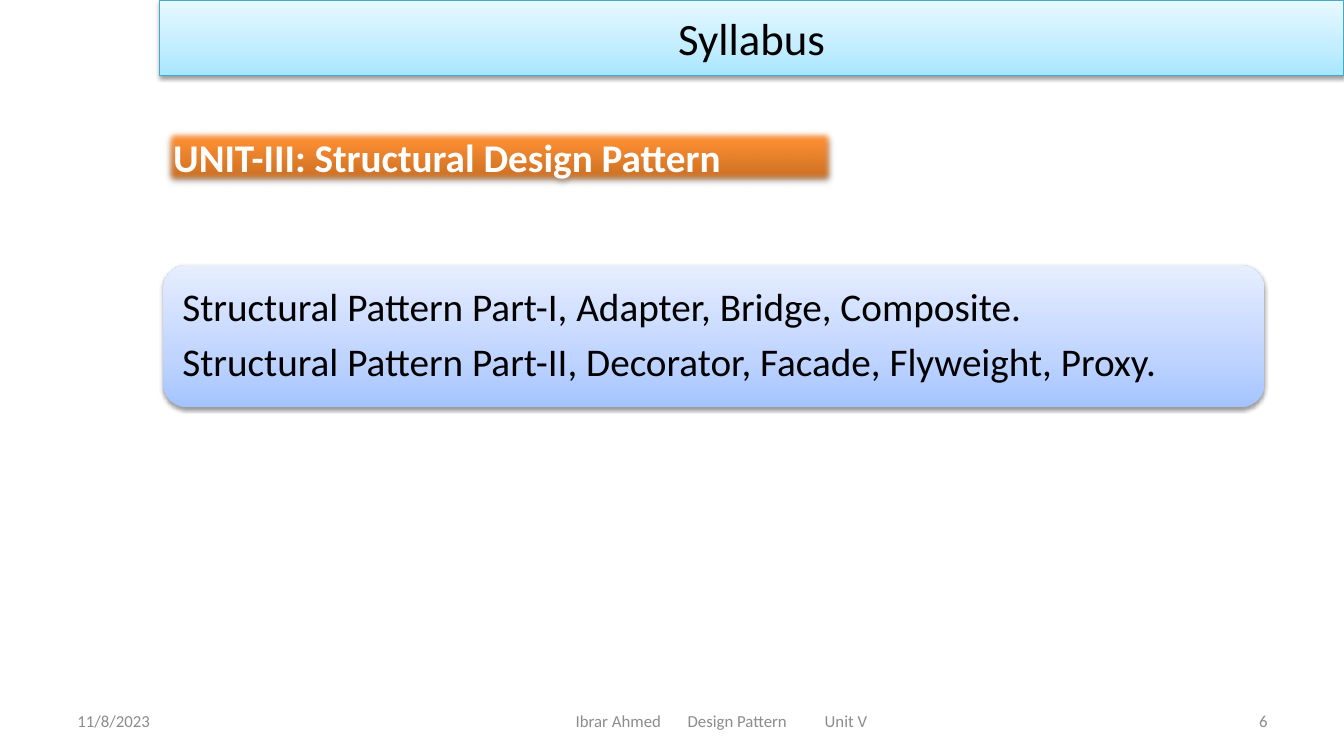
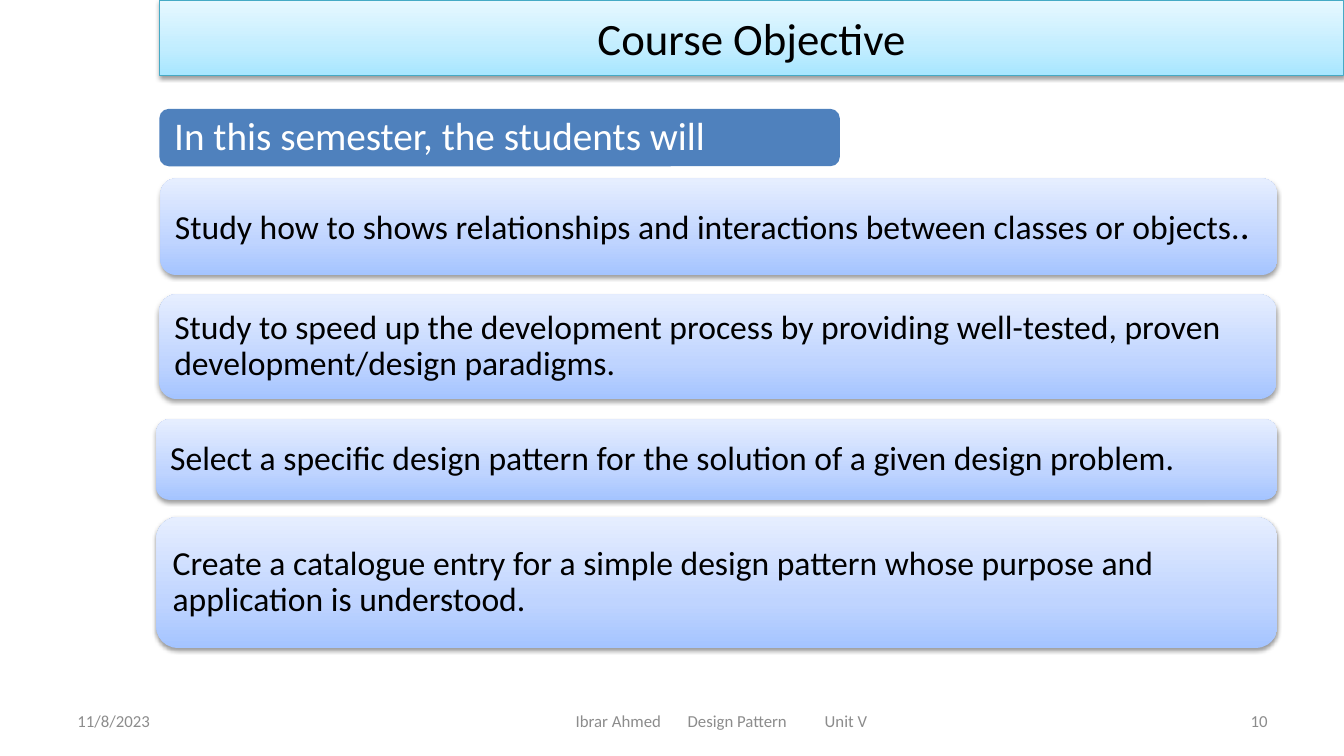
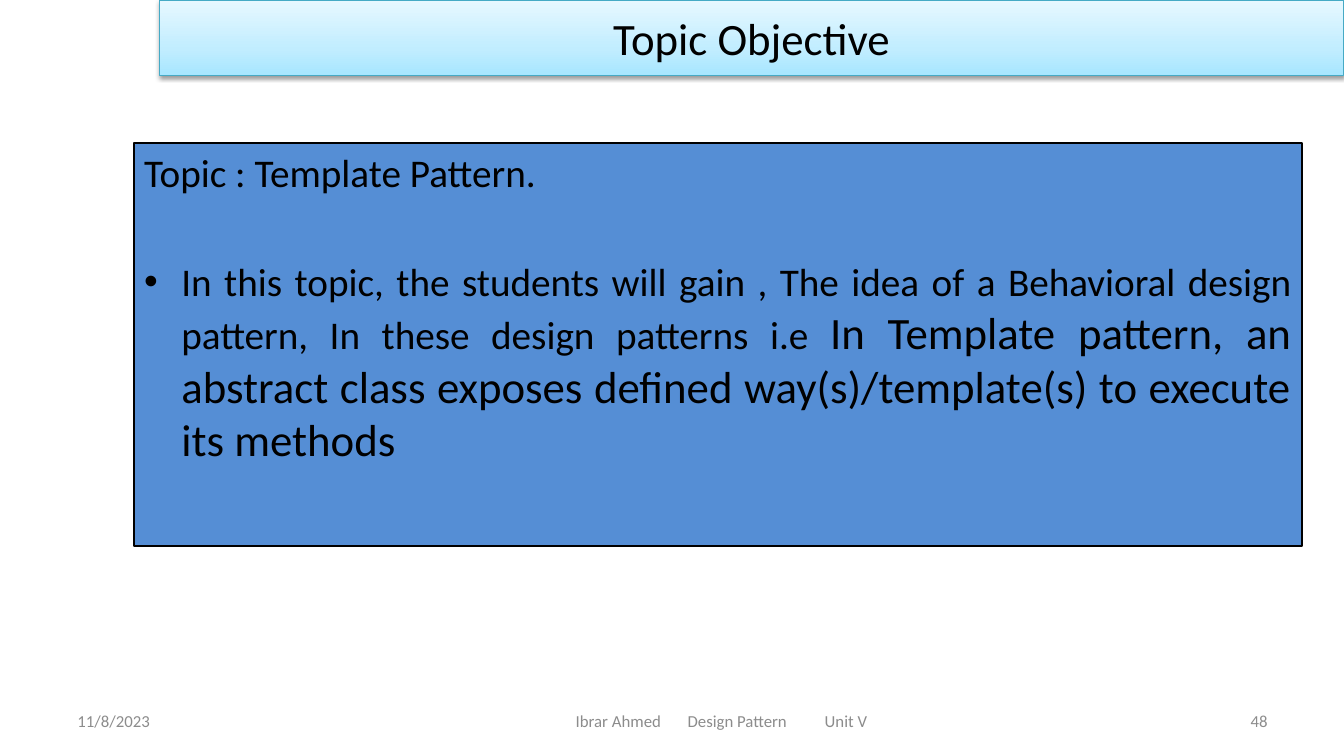
from copy import deepcopy

from lxml import etree
from pptx import Presentation
from pptx import util as u
from pptx.dml.color import RGBColor
from pptx.enum import shapes, text
from pptx.oxml.ns import qn

FONT = "Calibri"
BLACK, WHITE, GREY = "000000", "FFFFFF", "8C8C8C"
LABEL_BLUE, TOPIC_BLUE, TITLE_LINE = "4F81BD", "558ED5", "46AAC5"
TITLE_GRADIENT = ((0, "A7E6FF"), (0.35, "C1EDFF"), (1, "E7F8FF"))
CARD_GRADIENT = ((0, "A4C4FF"), (0.35, "BFD4FF"), (1, "E6EEFF"))
UNIT_GRADIENT = ((0, "C2691F"), (0.8, "FF9034"), (1, "FF9136"))
RECTANGLE = shapes.MSO_SHAPE.RECTANGLE
ROUNDED = shapes.MSO_SHAPE.ROUNDED_RECTANGLE
LEFT, CENTER = text.PP_ALIGN.LEFT, text.PP_ALIGN.CENTER
RIGHT, JUSTIFY = text.PP_ALIGN.RIGHT, text.PP_ALIGN.JUSTIFY
TOP, MIDDLE = text.MSO_ANCHOR.TOP, text.MSO_ANCHOR.MIDDLE


def color(value):
    return RGBColor.from_string(value)


def inches(box):
    return [u.Inches(length) for length in box]


def set_gradient(shape, stops):
    shape.fill.gradient()
    shape.fill.gradient_angle = 90
    stop_list = shape._element.spPr.find(".//" + qn("a:gsLst"))
    stop_list.append(deepcopy(stop_list[0]))
    for stop, (position, value) in zip(shape.fill.gradient_stops, stops):
        stop.position = position
        stop.color.rgb = color(value)


def add_effects(shape, opacity=38, distance=1.6, soft_edge=0):
    effects = shape._element.spPr.find(qn("a:effectLst"))
    shadow = etree.SubElement(
        effects, qn("a:outerShdw"), blurRad=str(u.Pt(3.1)),
        dist=str(u.Pt(distance)), dir="5400000", rotWithShape="0")
    shadow_color = etree.SubElement(shadow, qn("a:srgbClr"), val=BLACK)
    etree.SubElement(shadow_color, qn("a:alpha"), val=str(opacity * 1000))
    if soft_edge:
        etree.SubElement(effects, qn("a:softEdge"), rad=str(u.Pt(soft_edge)))


def add_panel(slide, box, kind=RECTANGLE, fill=None, gradient=None, line=None, line_width=0.75):
    shape = slide.shapes.add_shape(kind, *inches(box))
    shape.shadow.inherit = False
    if gradient:
        set_gradient(shape, gradient)
    else:
        shape.fill.solid()
        shape.fill.fore_color.rgb = color(fill)
    if line:
        shape.line.color.rgb = color(line)
        shape.line.width = u.Pt(line_width)
    else:
        shape.line.fill.background()
    return shape


def add_bullet(paragraph, indent):
    properties = paragraph._p.get_or_add_pPr()
    properties.set("marL", str(u.Inches(indent)))
    properties.set("indent", str(-u.Inches(indent)))
    etree.SubElement(properties, qn("a:buFont"), typeface="Arial")
    etree.SubElement(properties, qn("a:buChar"), char="•")


def add_tabs(paragraph, stops):
    tab_list = etree.SubElement(paragraph._p.get_or_add_pPr(), qn("a:tabLst"))
    for stop in stops:
        etree.SubElement(tab_list, qn("a:tab"), pos=str(u.Inches(stop)), algn="l")


def write(shape, paragraphs, size=28, ink=BLACK, bold=False, align=LEFT, anchor=MIDDLE,
          inset=None, spacing=None, gap=0):
    frame = shape.text_frame
    frame.word_wrap = True
    frame.vertical_anchor = anchor
    if inset is not None:
        frame.margin_left = frame.margin_right = u.Inches(inset)
        frame.margin_top = frame.margin_bottom = u.Inches(inset)
    for index, runs in enumerate(paragraphs):
        paragraph = frame.paragraphs[0] if index == 0 else frame.add_paragraph()
        paragraph.alignment = align
        if spacing:
            paragraph.line_spacing = spacing
        if index:
            paragraph.space_before = u.Pt(gap)
        for content, run_size in [(runs, size)] if isinstance(runs, str) else runs:
            run = paragraph.add_run()
            run.text = content
            run.font.name = FONT
            run.font.size = u.Pt(run_size)
            run.font.bold = bold
            run.font.color.rgb = color(ink)
    return frame


def add_title(slide, box, title):
    band = add_panel(slide, box, gradient=TITLE_GRADIENT, line=TITLE_LINE)
    add_effects(band)
    write(band, [title], size=32, align=CENTER)


def add_footer(slide, top, number):
    date, course, page = (
        slide.shapes.add_textbox(*inches((left, top, width, 0.4)))
        for left, width in ((0.67, 3.11), (4.42, 5.5), (9.56, 3.11)))
    write(date, ["11/8/2023"], size=12, ink=GREY)
    write(page, [str(number)], size=12, ink=GREY, align=RIGHT)
    add_tabs(course.text_frame.paragraphs[0], (1.11, 2.47))
    frame = write(course, ["Ibrar Ahmed\tDesign Pattern\tUnit V"], size=12, ink=GREY)
    frame.margin_left = u.Inches(1.29)


def add_card(slide, box, paragraphs, size=24, inset=0.1):
    card = add_panel(slide, box, ROUNDED, gradient=CARD_GRADIENT)
    add_effects(card)
    write(card, paragraphs, size=size, inset=inset, spacing=0.9, gap=9.5)


def add_unit_label(slide, box, label):
    panel = add_panel(slide, box, gradient=UNIT_GRADIENT)
    add_effects(panel, opacity=35, distance=1.8, soft_edge=5)
    write(panel, [label], ink=WHITE, bold=True, align=JUSTIFY, anchor=TOP)


def add_topic(slide, box, topic, objective):
    panel = add_panel(slide, box, fill=TOPIC_BLUE, line=BLACK, line_width=1.5)
    frame = write(panel, [topic, objective], align=JUSTIFY, anchor=TOP, gap=44.5)
    add_bullet(frame.paragraphs[1], 0.37)


def add_page(presentation, title, number):
    slide = presentation.slides.add_slide(presentation.slide_layouts[6])
    add_title(slide, (1.58, 0, 11.75, 0.75), title)
    add_footer(slide, 6.95, number)
    return slide


def build_syllabus(presentation):
    slide = add_page(presentation, "Syllabus", 6)
    add_unit_label(slide, (1.62, 1.27, 6.67, 0.57), "UNIT-III: Structural Design Pattern")
    add_card(slide, (1.62, 2.63, 10.92, 1.41), [
        "Structural Pattern Part-I, Adapter, Bridge, Composite.",
        "Structural Pattern Part-II, Decorator, Facade, Flyweight, Proxy.",
    ], size=28, inset=0.12)


def build_course_objective(presentation):
    slide = add_page(presentation, "Course Objective", 10)
    label = add_panel(slide, (1.58, 1.08, 6.75, 0.57), ROUNDED, fill=LABEL_BLUE)
    write(label, ["In this semester, the students will"], ink=WHITE, inset=0.12, spacing=0.9)
    objectives = (
        ((1.59, 1.77, 11.08, 0.96),
         [("Study how to shows relationships and interactions between classes or objects.", 24),
          (".", 28)]),
        ((1.58, 2.92, 11.08, 1.04),
         "Study to speed up the development process by providing well-tested, proven "
         "development/design paradigms."),
        ((1.55, 4.16, 11.12, 0.8),
         "Select a specific design pattern for the solution of a given design problem."),
        ((1.55, 5.13, 11.12, 1.3),
         "Create a catalogue entry for a simple design pattern whose purpose and "
         "application is understood."),
    )
    for box, objective in objectives:
        add_card(slide, box, [objective])


def build_topic_objective(presentation):
    slide = add_page(presentation, "Topic Objective", 48)
    add_topic(slide, (1.33, 1.42, 11.58, 4), "Topic : Template Pattern.", [
        ("In this topic, the students will gain , The idea of a Behavioral design pattern, "
         "In these design patterns i.e ", 28),
        ("In Template pattern, an abstract class exposes defined way(s)/template(s) "
         "to execute its methods", 32),
    ])


def main():
    presentation = Presentation()
    presentation.slide_width = u.Inches(13.33)
    presentation.slide_height = u.Inches(7.5)
    build_syllabus(presentation)
    build_course_objective(presentation)
    build_topic_objective(presentation)
    presentation.save("out.pptx")


if __name__ == "__main__":
    main()
